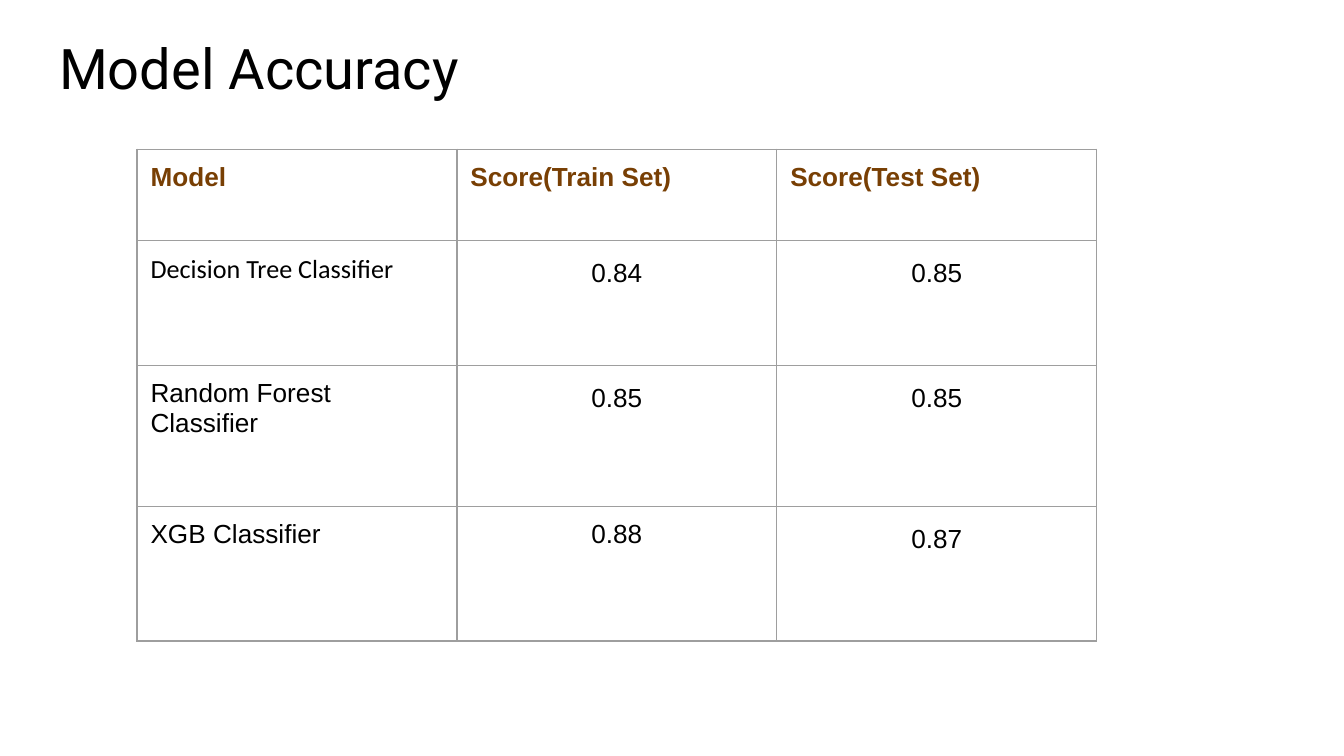
from dataclasses import dataclass

from lxml import etree
from pptx import Presentation
from pptx.dml.color import RGBColor
from pptx.enum.text import MSO_ANCHOR, PP_ALIGN
from pptx.oxml.ns import qn
from pptx.util import Inches, Pt

LEFT, CENTER = PP_ALIGN.LEFT, PP_ALIGN.CENTER
TOP, BOTTOM = MSO_ANCHOR.TOP, MSO_ANCHOR.BOTTOM
COLORS = {"ink": "000000", "head": "783F04", "line": "9E9E9E"}
WIDTH = 10
HEIGHT = WIDTH * 9 / 16
PAD = Inches(0.1)
COL = 2.38
ROWS = (0.68, 0.93, 1.05, 1)
HEADS = ("Model", "Score(Train Set)", "Score(Test Set)")


@dataclass
class Score:
    model: str
    train: str
    test: str
    font: str = "Arial"
    lead: float = 1.15


SCORES = (
    Score("Decision Tree Classifier", "0.84", "0.85", font="Calibri"),
    Score("Random Forest Classifier", "0.85", "0.85"),
    Score("XGB Classifier", "0.88", "0.87", lead=1),
)


def write(frame, text: str, *, size=14, font="Arial", color="ink",
          bold=False, align=LEFT, lead=1.0) -> None:
    frame.word_wrap = True
    para = frame.paragraphs[0]
    para.alignment = align
    para.line_spacing = lead
    run = para.add_run()
    run.text = text
    run.font.size = Pt(size)
    run.font.name = font
    run.font.bold = bold
    run.font.color.rgb = RGBColor.from_string(COLORS[color])


def pad(box) -> None:
    """Give a cell or text frame equal margins on all sides."""
    box.margin_left = box.margin_right = PAD
    box.margin_top = box.margin_bottom = PAD


def frame_cell(cell) -> None:
    """Clear the fill and draw a thin line on each side."""
    pad(cell)
    cell.vertical_anchor = TOP
    props = cell._tc.get_or_add_tcPr()
    for side in ("lnL", "lnR", "lnT", "lnB"):
        line = etree.SubElement(props, qn(f"a:{side}"), w=str(Pt(0.75)))
        fill = etree.SubElement(line, qn("a:solidFill"))
        etree.SubElement(fill, qn("a:srgbClr"), val=COLORS["line"])
    cell.fill.background()


def add_title(slide, text: str) -> None:
    title = slide.shapes.title
    title.left = title.top = Inches(0.34)
    title.width, title.height = Inches(3.77), Inches(0.51)
    frame = title.text_frame
    pad(frame)
    frame.vertical_anchor = BOTTOM
    write(frame, text, size=30, font="Roboto")


def add_scores(slide) -> None:
    count = len(HEADS)
    table = slide.shapes.add_table(
        len(ROWS), count, Inches(1.02), Inches(1.11),
        Inches(COL * count), Inches(sum(ROWS))).table
    table.first_row = table.horz_banding = False
    for col in table.columns:
        col.width = Inches(COL)
    for row, height in zip(table.rows, ROWS):
        row.height = Inches(height)
    for cell in table.iter_cells():
        frame_cell(cell)
    for c, head in enumerate(HEADS):
        write(table.cell(0, c).text_frame, head, color="head", bold=True)
    for r, score in enumerate(SCORES, 1):
        model, train, test = (cell.text_frame for cell in table.rows[r].cells)
        write(model, score.model, font=score.font)
        write(train, score.train, align=CENTER, lead=score.lead)
        write(test, score.test, align=CENTER, lead=1.15)


def main() -> None:
    deck = Presentation()
    deck.slide_width, deck.slide_height = Inches(WIDTH), Inches(HEIGHT)
    slide = deck.slides.add_slide(deck.slide_layouts[5])
    add_title(slide, "Model Accuracy")
    add_scores(slide)
    deck.save("out.pptx")


if __name__ == "__main__":
    main()
